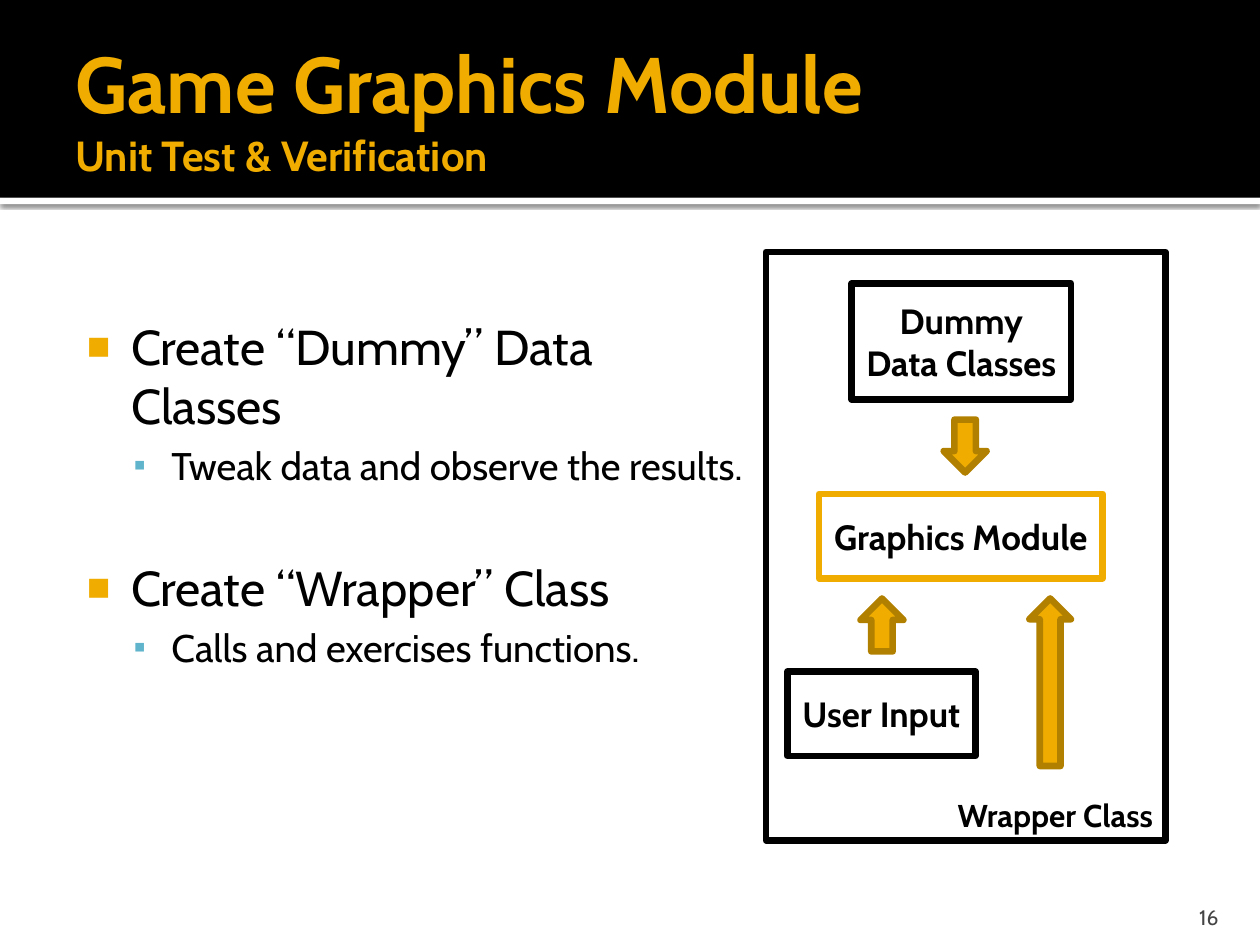
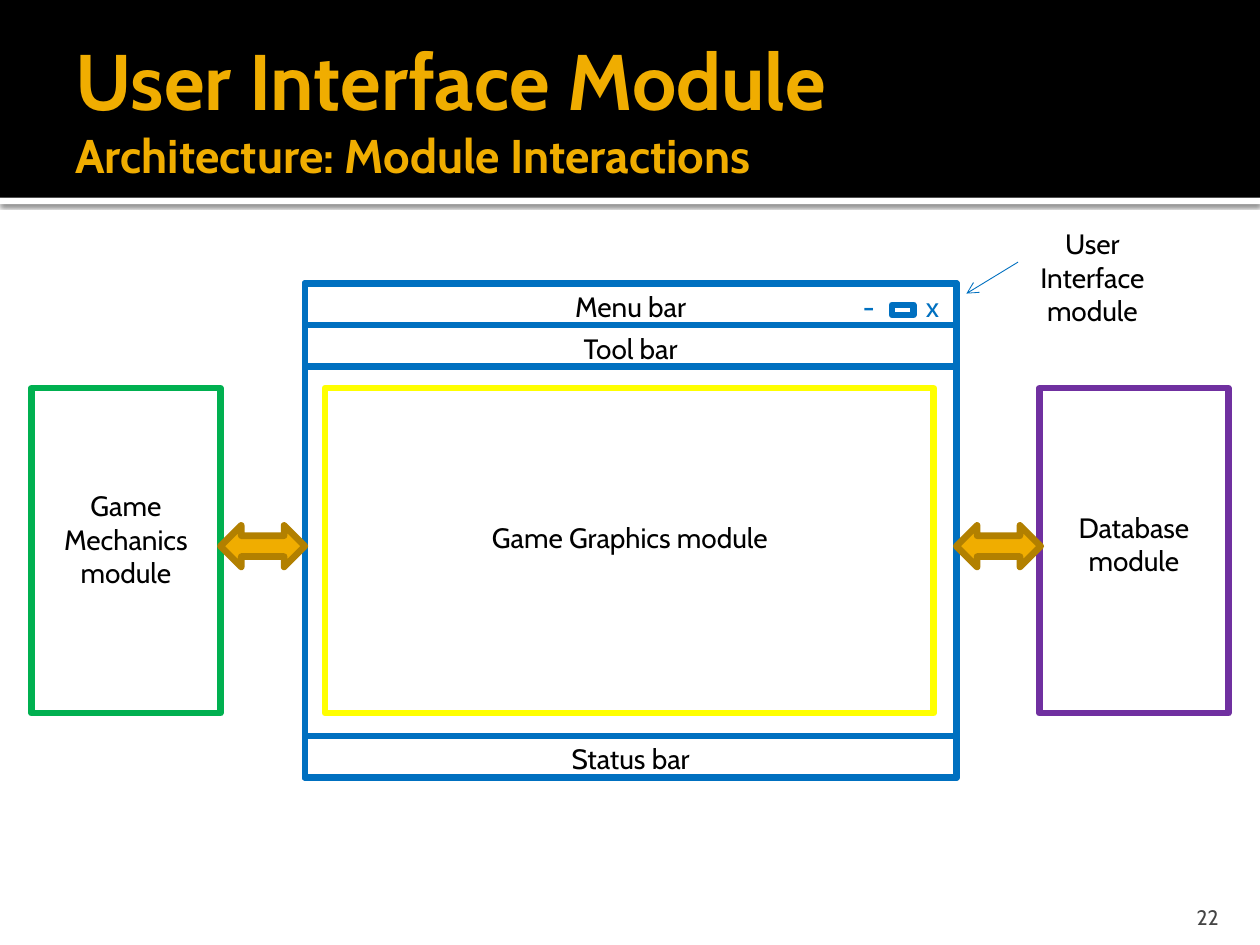
"""Build two slides on the graphics and user interface modules of a game."""
from pptx import Presentation
from pptx.dml.color import RGBColor as Rgb
from pptx.enum.shapes import MSO_CONNECTOR as Link, MSO_SHAPE as Kind
from pptx.enum.text import MSO_ANCHOR as Anchor, PP_ALIGN as Align
from pptx.oxml import parse_xml
from pptx.oxml.ns import nsdecls, qn
from pptx.util import Inches, Pt

FONT = "Cabin"
BLACK, WHITE, GRAY = "000000", "FFFFFF", "454545"
GOLD, BROWN, SKY = "F0AD00", "B28000", "60B5CC"
BLUE, YELLOW, GREEN, PURPLE = "0070C0", "FFFF00", "00B050", "7030A0"
THICK = 3.78
PAD = (0.1, 0.05, 0.1, 0.05)

TEST = ("Game Graphics Module", "Unit Test & Verification", 24, 16)
PARTS = ("User Interface Module", "Architecture: Module Interactions", 27, 22)

LEVELS = [
    dict(size=28, left=0.48, hang=0.35, mark="■", tint=GOLD, scale=80),
    dict(size=22, left=0.8, hang=0.3, mark="▪", tint=SKY, scale=90),
]
POINTS = [
    (0, "Create “Dummy” Data Classes", 0),
    (1, "Tweak data and observe the results.", 4.4),
    (0, "Create “Wrapper” Class", 39.7),
    (1, "Calls and exercises functions.", 4.4),
]
BOXES = [
    ("Graphics Module", (6.5, 3.92, 2.25, 0.67), GOLD),
    ("Dummy Data Classes", (6.76, 2.25, 1.74, 0.92), BLACK),
    ("User Input", (6.25, 5.33, 1.49, 0.67), BLACK),
]
ARROWS = [
    (Kind.DOWN_ARROW, (7.49, 3.33, 0.34, 0.42)),
    (Kind.UP_ARROW, (6.83, 4.75, 0.34, 0.42)),
    (Kind.UP_ARROW, (8.17, 4.75, 0.33, 1.33)),
]

LEFT, TOP, WIDE, HIGH, BAR = 2.42, 2.25, 5.17, 3.92, 0.33
BARS = [
    ("Menu bar", TOP),
    ("Status bar", TOP + HIGH - BAR),
    ("Tool bar", TOP + BAR),
]
SIDE, SPAN, DEEP, ROW = 0.25, 1.5, 2.58, 3.08
MODULES = [
    ("Game Mechanics module", SIDE, GREEN, 3.83, 0.91),
    ("Database module", 10 - SIDE - SPAN, PURPLE, 4, 0.64),
]


def color(code):
    return Rgb.from_string(code)


def place(box):
    return [Inches(n) for n in box]


def write(par, text, size, tint=BLACK, bold=False):
    run = par.add_run()
    run.text = text
    font = run.font
    font.name, font.size, font.bold = FONT, Pt(size), bold
    font.color.rgb = color(tint)


def setup(frame, pad=PAD, anchor=Anchor.TOP):
    frame.word_wrap = True
    frame.vertical_anchor = anchor
    (frame.margin_left, frame.margin_top,
     frame.margin_right, frame.margin_bottom) = place(pad)
    return frame.paragraphs[0]


def area(slide, box, pad=PAD, anchor=Anchor.TOP):
    frame = slide.shapes.add_textbox(*place(box)).text_frame
    return frame, setup(frame, pad, anchor)


def label(slide, text, box, tint=BLACK, align=Align.CENTER):
    par = area(slide, box)[1]
    par.alignment = align
    write(par, text, 16, tint)


def draw(slide, kind, box, fill=None, line=None):
    shape = slide.shapes.add_shape(kind, *place(box))
    shape.shadow.inherit = False
    if fill:
        shape.fill.solid()
        shape.fill.fore_color.rgb = color(fill)
    else:
        shape.fill.background()
    if line:
        shape.line.color.rgb = color(line)
        shape.line.width = Pt(THICK)
    else:
        shape.line.fill.background()
    return shape


def box_text(shape, text, size, align=Align.CENTER, anchor=Anchor.MIDDLE):
    par = setup(shape.text_frame, anchor=anchor)
    par.alignment = align
    write(par, text, size, bold=True)


def start(deck, title, sub, size, number):
    slide = deck.slides.add_slide(deck.slide_layouts[6])
    strip = draw(slide, Kind.RECTANGLE, (0, 1.57, 10, 0.05), WHITE)
    effect = strip._element.spPr.find(qn("a:effectLst"))
    effect.append(parse_xml(
        f'<a:outerShdw {nsdecls("a")} blurRad="{Pt(2.5)}" dist="{Pt(0.8)}" '
        'dir="5400000" rotWithShape="0"><a:srgbClr val="000000">'
        '<a:alpha val="60000"/></a:srgbClr></a:outerShdw>'))
    draw(slide, Kind.RECTANGLE, (0, 0, 10, 1.57), BLACK)
    par = area(slide, (0.5, 0.17, 9, 1.37), (0.1, 0.05, 0.05, 0.05),
               Anchor.MIDDLE)[1]
    write(par, title, 45, GOLD, True)
    par.add_line_break()
    write(par, sub, size, GOLD, True)
    foot = area(slide, (8.97, 7.08, 0.8, 0.3), (0.1, 0.05, 0.1, 0),
                Anchor.BOTTOM)[1]
    foot.alignment = Align.RIGHT
    write(foot, str(number), 12, GRAY)
    return slide


def bullet(par, level):
    props = par._p.get_or_add_pPr()
    props.set("marL", str(Inches(level["left"])))
    props.set("indent", str(-Inches(level["hang"])))
    for tag, inner in (
        ("buClr", f'><a:srgbClr val="{level["tint"]}"/></a:buClr>'),
        ("buSzPct", f' val="{level["scale"] * 1000}"/>'),
        ("buFont", ' typeface="Arial"/>'),
        ("buChar", f' char="{level["mark"]}"/>'),
    ):
        props.append(parse_xml(f'<a:{tag} {nsdecls("a")}{inner}'))


def test_slide(deck):
    slide = start(deck, *TEST)
    frame, par = area(slide, (0.5, 1.94, 5.58, 5.06), (0.06, 0.57, 0.13, 0.05))
    for i, (depth, text, gap) in enumerate(POINTS):
        par = frame.add_paragraph() if i else par
        par.space_before = Pt(gap)
        bullet(par, LEVELS[depth])
        write(par, text, LEVELS[depth]["size"])
    outer = draw(slide, Kind.RECTANGLE, (6.08, 2, 3.17, 4.67), WHITE, BLACK)
    box_text(outer, "Wrapper Class", 18, Align.RIGHT, Anchor.BOTTOM)
    for text, box, line in BOXES:
        box_text(draw(slide, Kind.RECTANGLE, box, WHITE, line), text, 20)
    for kind, box in ARROWS:
        draw(slide, kind, box, GOLD, BROWN)


def parts_slide(deck):
    slide = start(deck, *PARTS)
    draw(slide, Kind.RECTANGLE, (LEFT, TOP, WIDE, HIGH), line=BLUE)
    for text, top in BARS:
        draw(slide, Kind.RECTANGLE, (LEFT, top, WIDE, BAR), line=BLUE)
        label(slide, text, (LEFT, top, WIDE, 0.37))
    for sign, left in (("-", 6.75), ("x", 7.25)):
        label(slide, sign, (left, TOP, 0.25, 0.37), BLUE, Align.LEFT)
    draw(slide, Kind.RECTANGLE, (7.08, 2.42, 0.17, 0.08), line=BLUE)
    draw(slide, Kind.RECTANGLE, (2.58, ROW, 4.83, DEEP), line=YELLOW)
    label(slide, "Game Graphics module", (2.25, 4.08, 5.5, 0.37))
    for text, left, line, top, high in MODULES:
        draw(slide, Kind.RECTANGLE, (left, ROW, SPAN, DEEP), line=line)
        label(slide, text, (left, top, SPAN, high))
    for left in (SIDE + SPAN, LEFT + WIDE):
        draw(slide, Kind.LEFT_RIGHT_ARROW, (left, 4.17, 0.67, 0.33),
             GOLD, BROWN)
    label(slide, "User Interface module", (7.92, 1.75, SPAN, 0.64))
    link = slide.shapes.add_connector(
        Link.STRAIGHT, *place((8.08, 2.08, 7.67, 2.33)))
    link.line.color.rgb = color(BLUE)
    link.line.width = Pt(0.5)
    link.line._get_or_add_ln().append(
        parse_xml(f'<a:tailEnd {nsdecls("a")} type="arrow"/>'))
    link._element.spPr.append(parse_xml(f'<a:effectLst {nsdecls("a")}/>'))


def main():
    deck = Presentation()
    deck.slide_width, deck.slide_height = place((10, 7.5))
    test_slide(deck)
    parts_slide(deck)
    deck.save("out.pptx")


if __name__ == "__main__":
    main()
